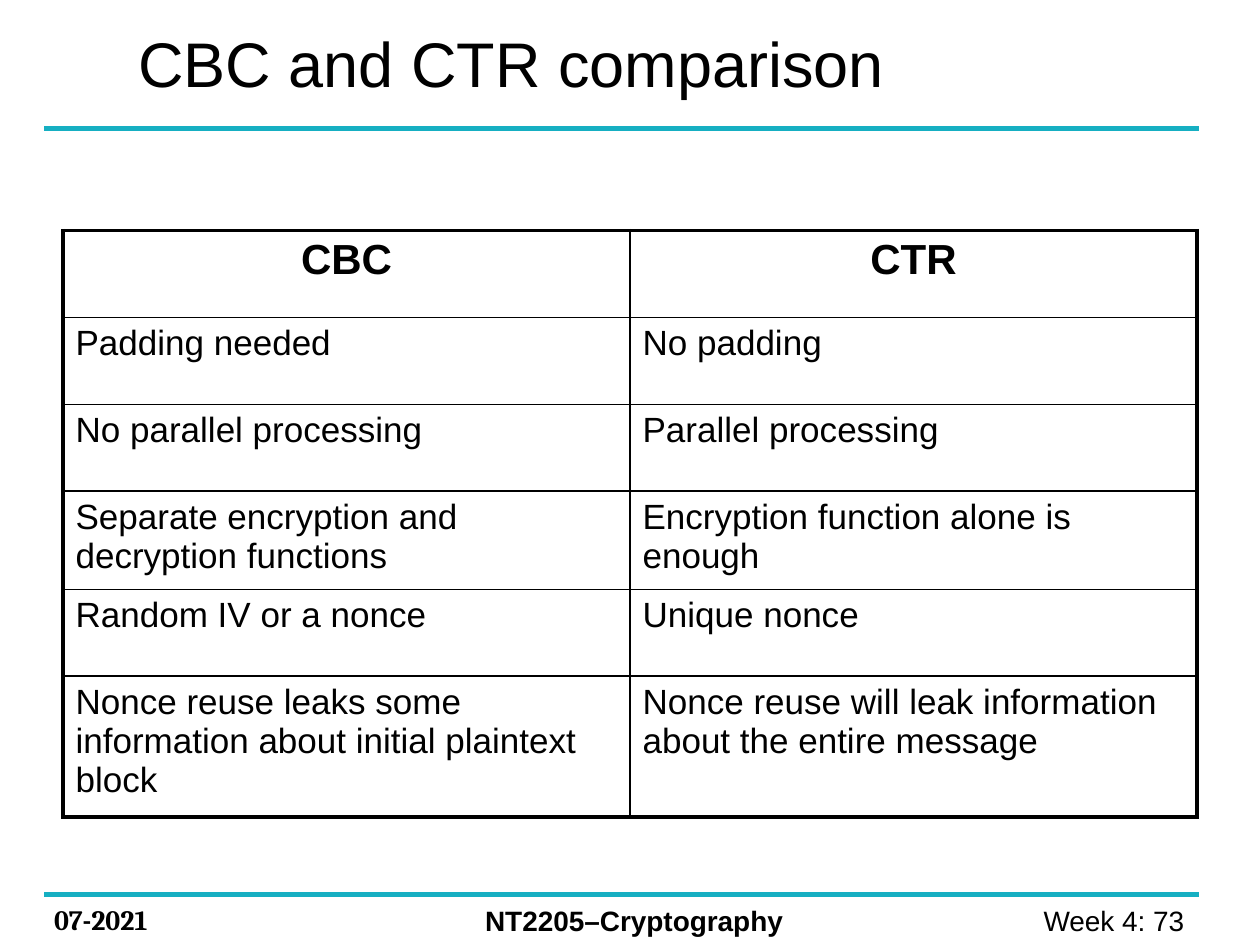
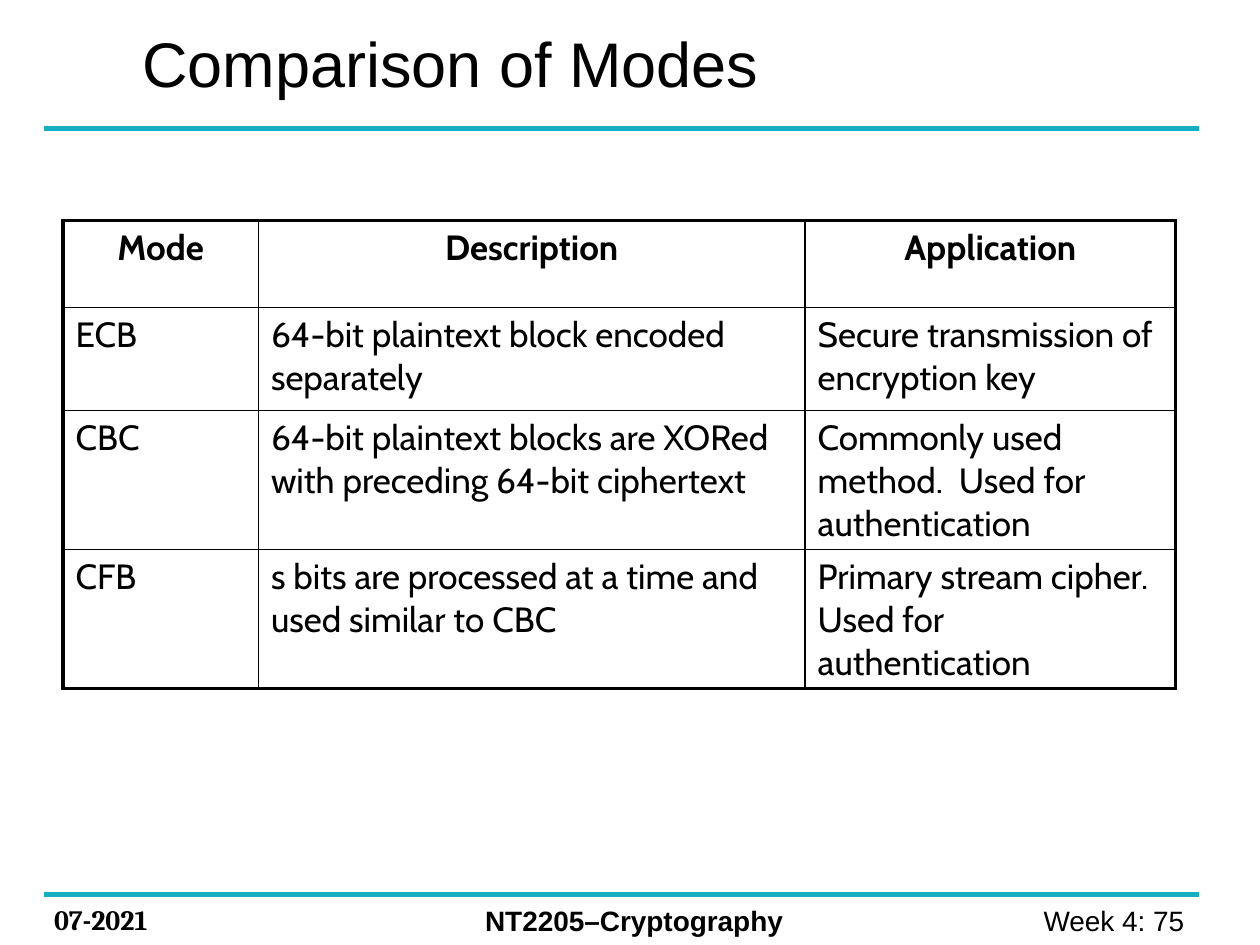
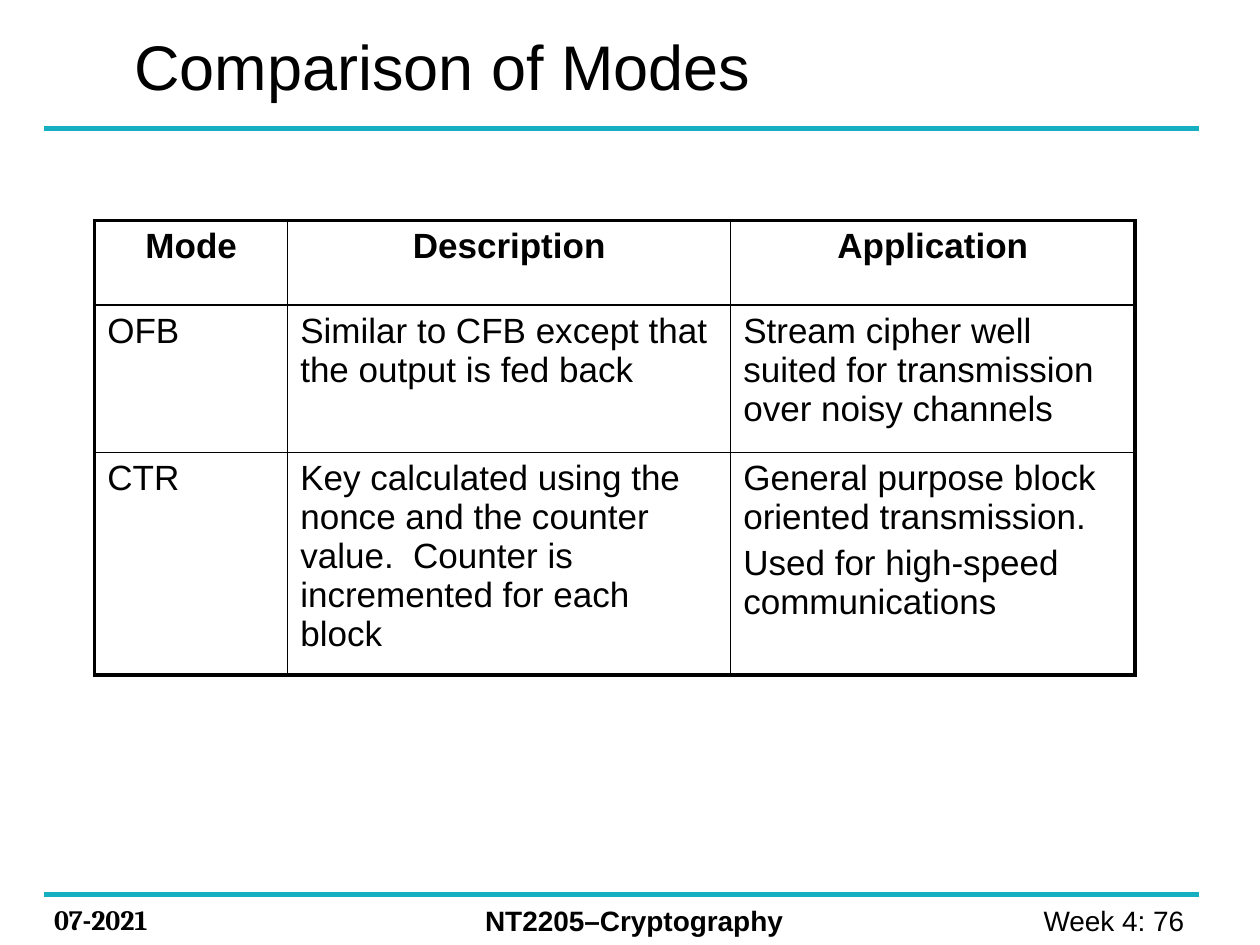
from dataclasses import dataclass
from typing import NamedTuple

from lxml.etree import SubElement
from pptx import Presentation
from pptx.dml.color import RGBColor
from pptx.enum.shapes import MSO_CONNECTOR as Connector
from pptx.enum.text import MSO_ANCHOR as Anchor, PP_ALIGN as Align
from pptx.oxml.ns import qn
from pptx.util import Cm, Pt


@dataclass(frozen=True)
class Theme:
    ink: RGBColor = RGBColor(0x00, 0x00, 0x00)
    rule: RGBColor = RGBColor(0x16, 0xAF, 0xC2)
    font: str = "Arial"
    date_font: str = "Cambria"
    modes_font: str = "Cabin"
    title_size: int = 36
    heading_size: int = 24
    body_size: int = 20
    footer_size: int = 16
    rule_width: float = 3
    frame_width: float = 2.25
    grid_width: float = 1


class Box(NamedTuple):
    left: float
    top: float
    width: float
    height: float

    def lengths(self):
        return [Cm(value) for value in self]


THEME = Theme()
PAGE = Box(0, 0, 25.4, 19.05)
HEADER_RULE = 2.59
FOOTER = Box(0.89, 18.03, 23.29, 1.02)


def add_span(para, text, size, font=THEME.font, bold=False):
    span = para.add_run()
    span.text = text
    span.font.size = Pt(size)
    span.font.name = font
    span.font.bold = bold
    span.font.color.rgb = THEME.ink


def add_label(page, box, text, size, font=THEME.font, bold=False,
              align=Align.LEFT, anchor=Anchor.TOP):
    frame = page.shapes.add_textbox(*box.lengths()).text_frame
    frame.word_wrap = True
    frame.vertical_anchor = anchor
    para = frame.paragraphs[0]
    para.alignment = align
    add_span(para, text, size, font, bold)


def add_rule(page, top):
    left, right = Cm(FOOTER.left), Cm(FOOTER.left + FOOTER.width)
    rule = page.shapes.add_connector(Connector.STRAIGHT, left, Cm(top), right, Cm(top))
    rule.line.color.rgb = THEME.rule
    rule.line.width = Pt(THEME.rule_width)
    SubElement(rule._element.spPr, qn("a:effectLst"))


def add_footer(page, box, number):
    add_rule(page, box.top)
    top, height = box.top + 0.05, 0.94
    size = THEME.footer_size
    add_label(page, Box(box.left - 0.05, box.top + 0.03, 3.38, height), "07-2021",
              size, THEME.date_font, bold=True)
    add_label(page, Box(box.left + 8.64, top, 7.8, height), "NT2205–Cryptography",
              size, bold=True)
    add_label(page, Box(box.left + 17.8, top, 5.59, height), f"Week 4: {number} ",
              size, align=Align.RIGHT)


def set_borders(cell, outer_sides):
    properties = cell._tc.get_or_add_tcPr()
    for side in "LRTB":
        width = THEME.frame_width if side in outer_sides else THEME.grid_width
        line = SubElement(properties, qn(f"a:ln{side}"), w=str(Pt(width)))
        fill = SubElement(line, qn("a:solidFill"))
        SubElement(fill, qn("a:srgbClr"), val=str(THEME.ink))


def fill_cell(cell, text, size, font, heading):
    frame = cell.text_frame
    for index, line in enumerate(text.split("\n")):
        para = frame.add_paragraph() if index else frame.paragraphs[0]
        para.alignment = Align.CENTER if heading else Align.LEFT
        if index:
            para.space_before = Pt(size * 0.2)
        add_span(para, line, size, font, bold=heading)


def add_comparison(page, box, widths, heights, rows, font=THEME.font,
                   heading_size=THEME.body_size):
    table = page.shapes.add_table(len(rows), len(widths), *box.lengths()).table
    table.first_row = table.horz_banding = False
    for column, width in zip(table.columns, widths):
        column.width = Cm(width)
    for row, height in zip(table.rows, heights):
        row.height = Cm(height)
    for r, texts in enumerate(rows):
        for c, text in enumerate(texts):
            cell = table.cell(r, c)
            edges = {"L": c == 0, "R": c == len(widths) - 1,
                     "T": r == 0, "B": r == len(rows) - 1}
            set_borders(cell, [side for side, outer in edges.items() if outer])
            cell.fill.background()
            fill_cell(cell, text, THEME.body_size if r else heading_size, font, r == 0)


def add_page(deck, title, title_box, number, table_left, table_top,
             widths, heights, rows, **style):
    page = deck.slides.add_slide(deck.slide_layouts[6])
    add_rule(page, HEADER_RULE)
    add_footer(page, FOOTER, number)
    add_label(page, title_box, title, THEME.title_size, anchor=Anchor.MIDDLE)
    table_box = Box(table_left, table_top, sum(widths), sum(heights))
    add_comparison(page, table_box, widths, heights, rows, **style)


MODE_HEADINGS = ("Mode", "Description", "Application")

CBC_CTR_ROWS = [
    ("CBC", "CTR"),
    ("Padding needed", "No padding"),
    ("No parallel processing", "Parallel processing"),
    ("Separate encryption and decryption functions",
     "Encryption function alone is enough"),
    ("Random IV or a nonce", "Unique nonce"),
    ("Nonce reuse leaks some information about initial plaintext block",
     "Nonce reuse will leak information about the entire message"),
]

BLOCK_MODE_ROWS = [
    MODE_HEADINGS,
    ("ECB", "64-bit plaintext block encoded separately",
     "Secure transmission of encryption key"),
    ("CBC", "64-bit plaintext blocks are XORed with preceding 64-bit ciphertext",
     "Commonly used method.  Used for authentication"),
    ("CFB", "s bits are processed at a time and used similar to CBC",
     "Primary stream cipher. Used for authentication"),
]

STREAM_MODE_ROWS = [
    MODE_HEADINGS,
    ("OFB", "Similar to CFB except that the output is fed back",
     "Stream cipher well suited for transmission over noisy channels"),
    ("CTR", "Key calculated using the nonce and the counter value.  "
     "Counter is incremented for each block",
     "General purpose block oriented transmission.\nUsed for high-speed communications"),
]


def main():
    deck = Presentation()
    deck.slide_width, deck.slide_height = Cm(PAGE.width), Cm(PAGE.height)
    add_page(deck, "CBC and CTR comparison", Box(2.54, -0.28, 22.86, 3.07), 73,
             1.27, 4.65, [11.43] * 2, [1.75, 1.75, 1.75, 1.98, 1.75, 2.84],
             CBC_CTR_ROWS, heading_size=THEME.heading_size)
    add_page(deck, "Comparison of Modes", Box(2.62, 0.08, 22.78, 2.34), 75,
             1.27, 4.45, [3.94, 11.02, 7.47], [1.75, 2.08, 2.8, 2.8],
             BLOCK_MODE_ROWS, font=THEME.modes_font)
    add_page(deck, "Comparison of Modes", Box(2.46, 0, 22.86, 2.62), 76,
             1.91, 4.45, [3.89, 8.93, 8.15], [1.7, 2.97, 4.19],
             STREAM_MODE_ROWS)
    deck.save("out.pptx")


if __name__ == "__main__":
    main()
